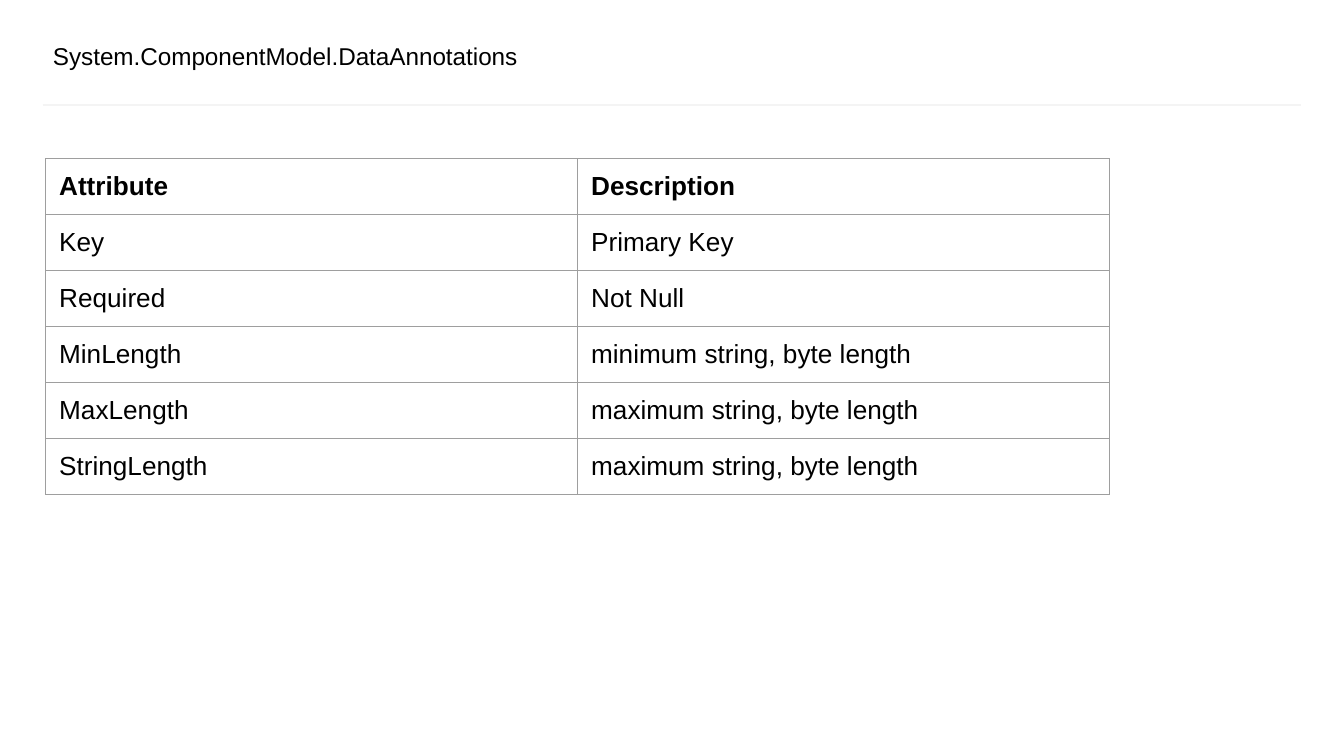
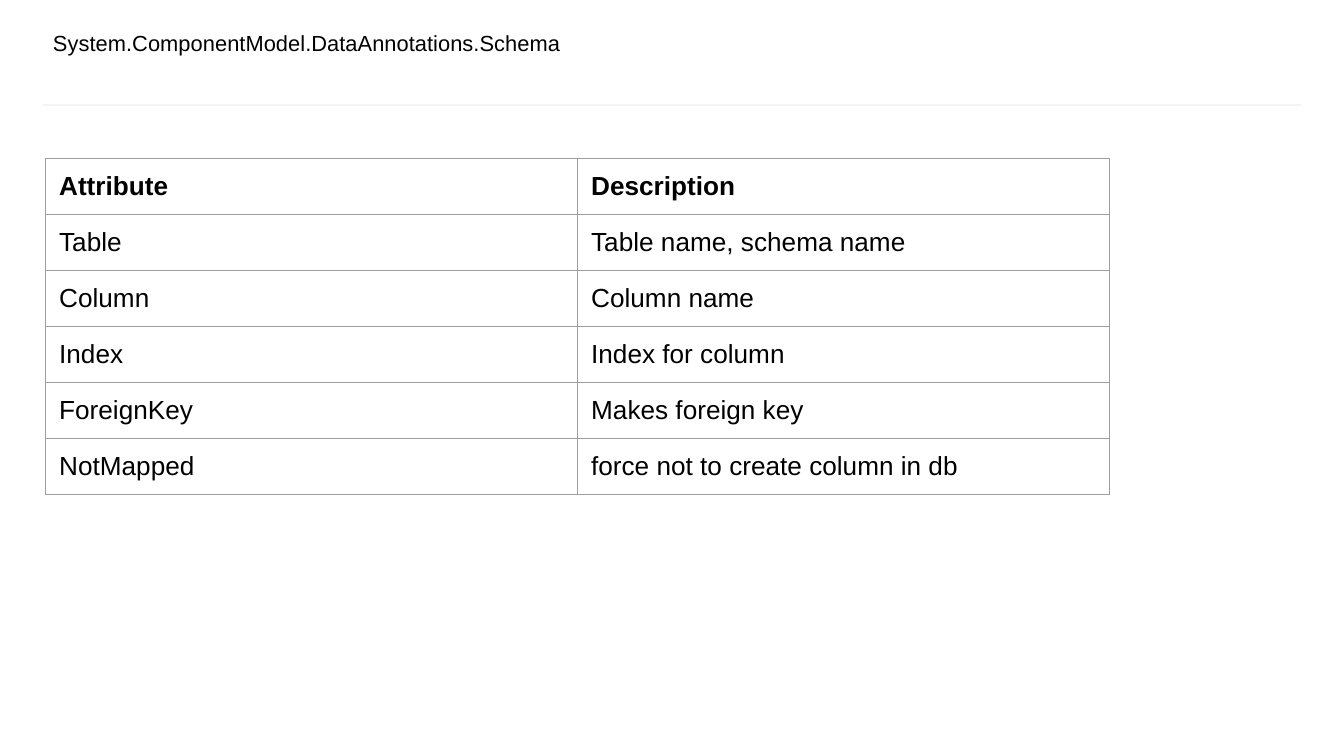
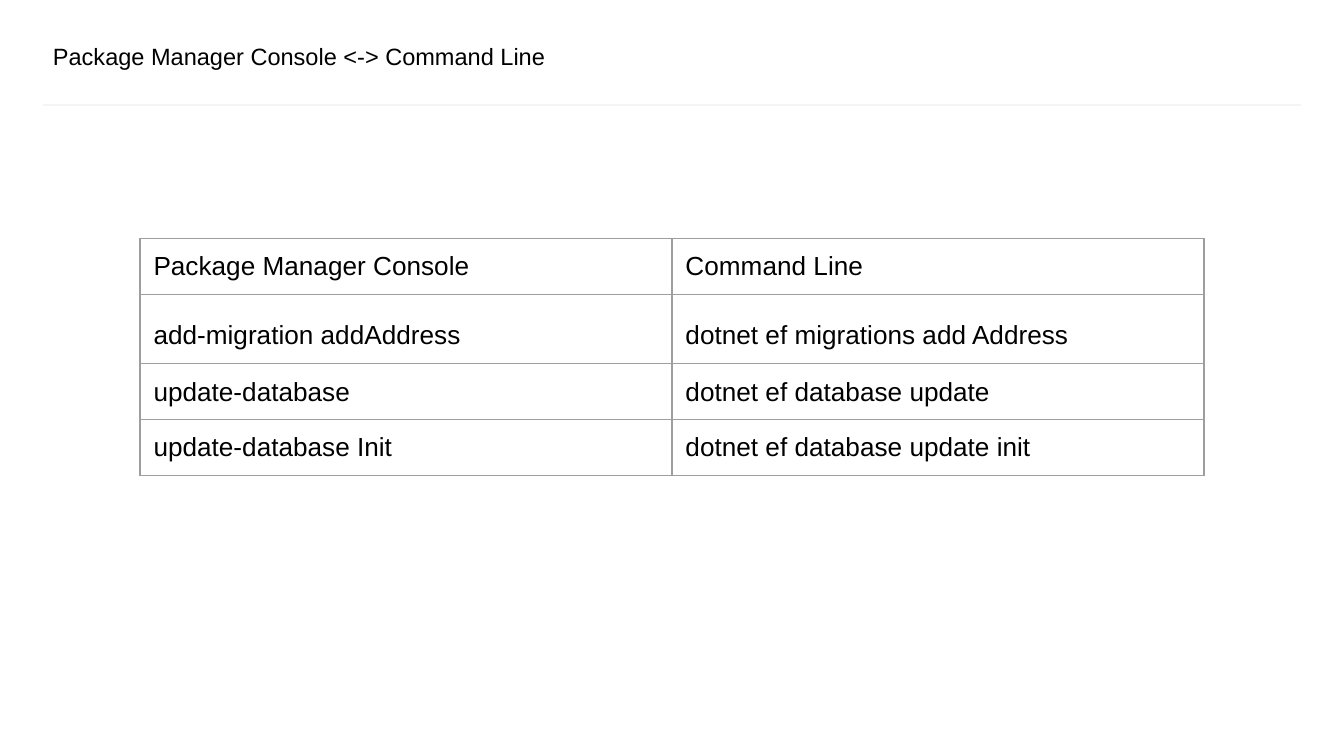
"""Build three slides of attribute and command reference tables."""
from lxml.etree import SubElement
from pptx import Presentation
from pptx.dml.color import RGBColor
from pptx.enum.shapes import MSO_CONNECTOR as Connector
from pptx.enum.text import MSO_ANCHOR as Anchor
from pptx.oxml.ns import qn
from pptx.util import Inches, Pt

COLORS = {"text": "000000", "rule": "F4F4F4", "border": "9E9E9E"}
FONT = "Arial"
WIDTH = Inches(10)
HEIGHT = WIDTH * 9 // 16
BORDER = Pt(0.75)
CELL_MARGIN = Inches(0.1)

ATTRIBUTE_HEADER = ("Attribute", "Description")
ANNOTATIONS = [
    ATTRIBUTE_HEADER,
    ("Key", "Primary Key"),
    ("Required", "Not Null"),
    ("MinLength", "minimum string, byte length"),
    ("MaxLength", "maximum string, byte length"),
    ("StringLength", "maximum string, byte length"),
]
SCHEMA = [
    ATTRIBUTE_HEADER,
    ("Table", "Table name, schema name"),
    ("Column", "Column name"),
    ("Index", "Index for column"),
    ("ForeignKey", "Makes foreign key"),
    ("NotMapped", "force not to create column in db"),
]
COMMANDS = [
    ("Package Manager Console", "Command Line"),
    ("add-migration addAddress", "dotnet ef migrations add Address"),
    ("update-database", "dotnet ef database update"),
    ("update-database Init", "dotnet ef database update init"),
]


def across(percent):
    """Return a share of the slide width."""
    return round(WIDTH * percent / 100)


def down(percent):
    """Return a share of the slide height."""
    return round(HEIGHT * percent / 100)


def style_paragraph(paragraph, size, bold=False):
    """Set the shared font on a paragraph."""
    font = paragraph.font
    font.name, font.size, font.bold = FONT, Pt(size), bold
    font.color.rgb = RGBColor.from_string(COLORS["text"])


def add_header(slide, title, size, raised=False):
    """Add the title and the rule beneath it."""
    rule = slide.shapes.add_connector(
        Connector.STRAIGHT, across(3.2), down(13.9), across(96.8), down(13.9))
    rule.line.color.rgb = RGBColor.from_string(COLORS["rule"])
    rule.line.width = Pt(1.5)
    SubElement(rule._element.spPr, qn("a:effectLst"))

    heading = slide.shapes.add_textbox(
        across(3.94), down(3.9 if raised else 4.45), across(92.2), down(5.87)).text_frame
    heading.word_wrap = True
    heading.vertical_anchor = Anchor.TOP if raised else Anchor.MIDDLE
    heading.margin_left = heading.margin_right = 0
    heading.margin_top = 0 if raised else Inches(0.05)
    heading.margin_bottom = Inches(0.05)
    heading.text = title
    style_paragraph(heading.paragraphs[0], size)


def outline_cell(cell):
    """Draw a thin border on all four sides of a cell."""
    properties = cell._tc.get_or_add_tcPr()
    for side in ("lnL", "lnR", "lnT", "lnB"):
        edge = SubElement(properties, qn(f"a:{side}"), w=str(BORDER))
        fill = SubElement(edge, qn("a:solidFill"))
        SubElement(fill, qn("a:srgbClr"), val=COLORS["border"])


def fill_cell(cell, text, bold, spacing):
    """Write and format one table cell."""
    cell.margin_left = cell.margin_right = cell.margin_top = CELL_MARGIN
    cell.margin_bottom = Inches(0.08)
    outline_cell(cell)
    cell.fill.background()
    cell.text = text
    paragraph = cell.text_frame.paragraphs[0]
    style_paragraph(paragraph, 14, bold)
    if spacing:
        paragraph.line_spacing = spacing


def add_reference(slide, entries, left, top, bold_header=True, loose_row=None):
    """Add a two-column reference table at shares of the slide."""
    row_height = down(7.41)
    table = slide.shapes.add_table(
        len(entries), 2, across(left), down(top),
        across(79.17), row_height * len(entries)).table
    table.first_row = bold_header
    table.horz_banding = False
    for row, entry in enumerate(entries):
        for column, text in enumerate(entry):
            fill_cell(table.cell(row, column), text,
                      bold=bold_header and row == 0,
                      spacing=1.45 if row == loose_row else None)


def main():
    """Build and save the presentation."""
    deck = Presentation()
    deck.slide_width, deck.slide_height = WIDTH, HEIGHT
    blank = deck.slide_layouts[6]

    annotations = deck.slides.add_slide(blank)
    add_header(annotations, "System.ComponentModel.DataAnnotations", 13)
    add_reference(annotations, ANNOTATIONS, 3.4, 21)

    schema = deck.slides.add_slide(blank)
    add_header(schema, "System.ComponentModel.DataAnnotations.Schema", 11.7, raised=True)
    add_reference(schema, SCHEMA, 3.4, 21)

    commands = deck.slides.add_slide(blank)
    add_header(commands, "Package Manager Console <-> Command Line", 12.6)
    add_reference(commands, COMMANDS, 10.42, 31.5, bold_header=False, loose_row=1)

    deck.save("out.pptx")


if __name__ == "__main__":
    main()
